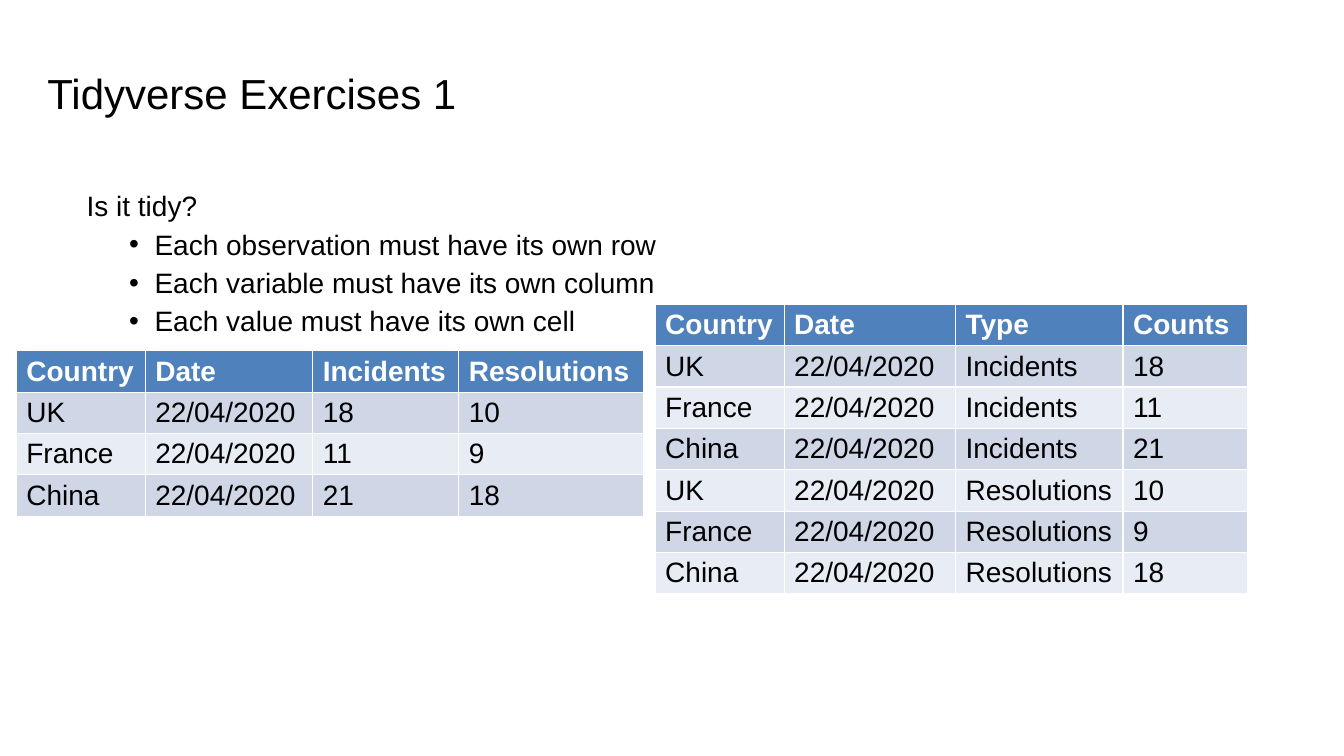
import pptx
import pptx.dml.color
import pptx.enum.text
import pptx.oxml.ns
import pptx.util
from lxml import etree

Cm = pptx.util.Cm
Pt = pptx.util.Pt
COLOURS = {
    "text": "000000",
    "header text": "FFFFFF",
    "header": "4F81BD",
    "odd row": "CFD7E7",
    "even row": "E8ECF4",
}
ROW_HEIGHT = 1.04


def set_font(paragraph, size, colour, bold=False):
    paragraph.font.name = "Arial"
    paragraph.font.size = Pt(size)
    paragraph.font.bold = bold
    paragraph.font.color.rgb = pptx.dml.color.RGBColor.from_string(COLOURS[colour])


def add_bullet(properties):
    """Give a paragraph a round bullet in the text colour."""
    colour = etree.SubElement(properties, pptx.oxml.ns.qn("a:buClr"))
    etree.SubElement(colour, pptx.oxml.ns.qn("a:srgbClr"), val=COLOURS["text"])
    etree.SubElement(properties, pptx.oxml.ns.qn("a:buFont"), typeface="Arial")
    etree.SubElement(properties, pptx.oxml.ns.qn("a:buChar"), char="•")


deck = pptx.Presentation()
deck.slide_width = Cm(33.87)
deck.slide_height = Cm(19.05)
page = deck.slides.add_slide(deck.slide_layouts[1])

# Title
title = page.shapes.title
title.left, title.top, title.width, title.height = Cm(0.94), Cm(0.74), Cm(30.48), Cm(3.18)
title.text_frame.text = "Tidyverse Exercises 1"
title.text_frame.auto_size = pptx.enum.text.MSO_AUTO_SIZE.NONE
title.text_frame.vertical_anchor = pptx.enum.text.MSO_ANCHOR.MIDDLE
heading = title.text_frame.paragraphs[0]
heading.alignment = pptx.enum.text.PP_ALIGN.LEFT
set_font(heading, 30, "text")

# Question and rules
body = page.placeholders[1]
body.left, body.top, body.width, body.height = Cm(1.07), Cm(4.57), Cm(30.48), Cm(3.96)
body.text_frame.text = "\n".join([
    "Is it tidy?",
    "Each observation must have its own row",
    "Each variable must have its own column",
    "Each value must have its own cell",
])
body.text_frame.auto_size = pptx.enum.text.MSO_AUTO_SIZE.NONE
for number, paragraph in enumerate(body.text_frame.paragraphs):
    properties = paragraph._p.get_or_add_pPr()
    if number == 0:
        paragraph.level = 1
        properties.set("marL", str(Cm(0.86)))
        properties.set("indent", "0")
        etree.SubElement(properties, pptx.oxml.ns.qn("a:buNone"))
    else:
        paragraph.level = 2
        properties.set("marL", str(Cm(2.57)))
        properties.set("indent", str(Cm(-0.64)))
        add_bullet(properties)
    paragraph.space_before = Pt([0, 3, 2, 2][number])
    paragraph.line_spacing = 1.05
    set_font(paragraph, 20, "text")

# The same counts as a wide and as a long table
date = "22/04/2020"
counts = {
    "Incidents": {"UK": 18, "France": 11, "China": 21},
    "Resolutions": {"UK": 10, "France": 9, "China": 18},
}
wide_rows = [["Country", "Date", *counts]]
for country in counts["Incidents"]:
    wide_rows.append([country, date, *(group[country] for group in counts.values())])
long_rows = [["Country", "Date", "Type", "Counts"]]
for kind, group in counts.items():
    for country, count in group.items():
        long_rows.append([country, date, kind, count])

tables = [
    (0.41, 8.84, [3.25, 4.22, 3.68, 4.65], wide_rows),
    (16.51, 7.67, [3.25, 4.32, 4.22, 3.15], long_rows),
]
for left, top, widths, rows in tables:
    frame = page.shapes.add_table(
        len(rows), len(widths), Cm(left), Cm(top),
        Cm(sum(widths)), Cm(ROW_HEIGHT * len(rows)))
    table = frame.table
    for column, width in zip(table.columns, widths):
        column.width = Cm(width)
    for row_number, values in enumerate(rows):
        table.rows[row_number].height = Cm(ROW_HEIGHT)
        is_header = row_number == 0
        fill = "header" if is_header else "odd row" if row_number % 2 else "even row"
        for column_number, value in enumerate(values):
            cell = table.cell(row_number, column_number)
            cell.text = str(value)
            cell.fill.solid()
            cell.fill.fore_color.rgb = pptx.dml.color.RGBColor.from_string(COLOURS[fill])
            set_font(cell.text_frame.paragraphs[0], 20,
                     "header text" if is_header else "text", is_header)

deck.save("out.pptx")
